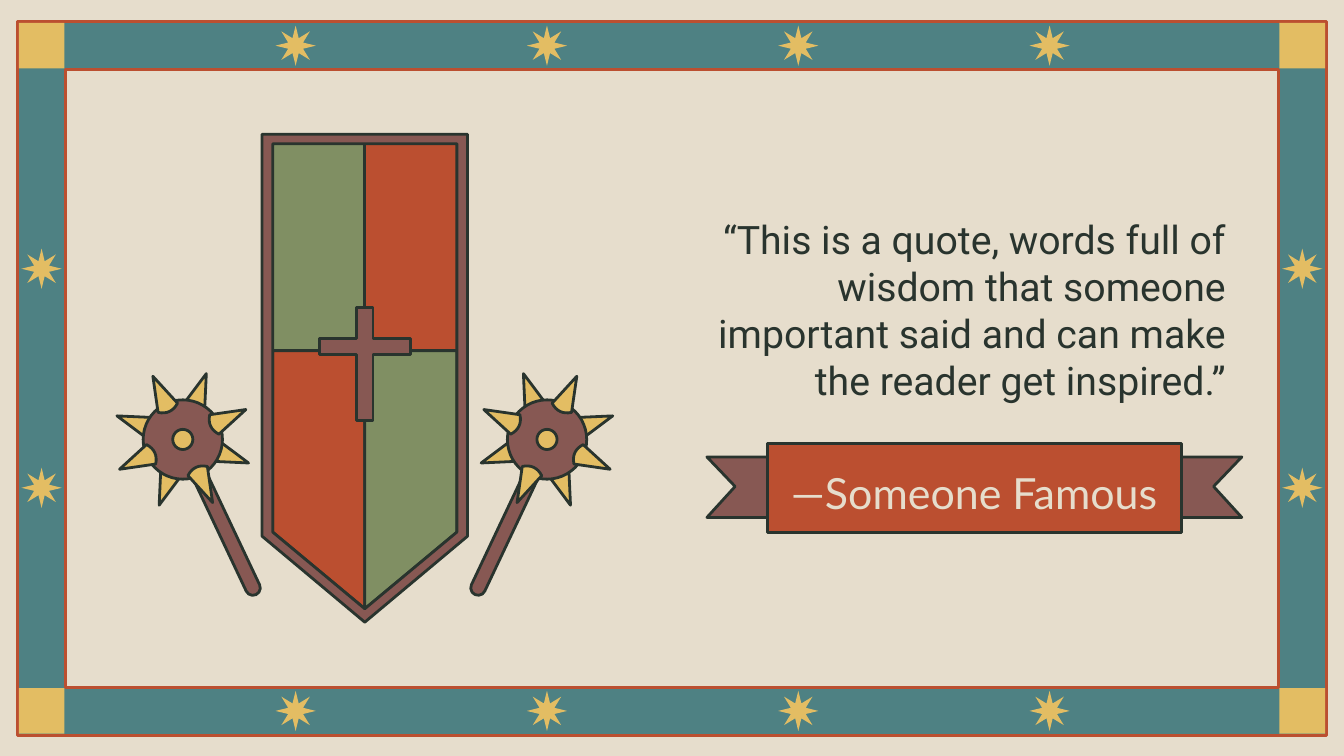
from math import cos, sin, radians
from pptx import Presentation
from pptx.dml.color import RGBColor
from pptx.enum.shapes import MSO_SHAPE as Kind
from pptx.enum.text import PP_ALIGN as Align, MSO_ANCHOR as Anchor
from pptx.util import Inches, Pt

COLORS = {
    "paper": "E6DDCC", "teal": "4E8183", "gold": "E3BD63", "red": "BB4F30",
    "brown": "875853", "green": "808F63", "ink": "29342E",
}


def color(name):
    return RGBColor.from_string(COLORS[name])


def paint(shape, fill, line=None):
    shape.shadow.inherit = False
    shape.fill.solid()
    shape.fill.fore_color.rgb = color(fill)
    if line:
        shape.line.color.rgb = color(line)
        shape.line.width = Pt(1.5)
    else:
        shape.line.fill.background()


def preset(shapes, kind, x, y, w, h, fill, line=None):
    shape = shapes.add_shape(kind, Inches(x), Inches(y), Inches(w), Inches(h))
    paint(shape, fill, line)
    return shape


def outline(shapes, fill, *rings):
    rings = [[(Inches(x), Inches(y)) for x, y in ring] for ring in rings]
    pen = shapes.build_freeform(*rings[0][0])
    pen.add_line_segments(rings[0][1:])
    for ring in rings[1:]:
        pen.move_to(*ring[0])
        pen.add_line_segments(ring[1:])
    paint(pen.convert_to_shape(), fill, "ink")


def border(slide, x, y, w, h):
    shapes = slide.shapes.add_group_shape().shapes
    frame = preset(shapes, Kind.FRAME, x, y, w, h, "teal", "red")
    frame.adjustments[0] = 0.067
    for left in (x + 0.01, x + w - 0.35):
        for top in (y + 0.01, y + h - 0.35):
            preset(shapes, Kind.RECTANGLE, left, top, 0.34, 0.34, "gold")
    spots = [(x + 1.92 + 1.87 * i, top)
             for top in (y + 0.03, y + h - 0.33) for i in range(4)]
    spots += [(left, y + 1.69 + 1.63 * i)
              for left in (x + 0.03, x + w - 0.33) for i in range(2)]
    for left, top in spots:
        star = preset(shapes, Kind.STAR_8_POINT, left, top, 0.3, 0.3, "gold")
        star.adjustments[0] = 0.199


def ribbon(slide, x, y, w, h):
    shapes = slide.shapes.add_group_shape().shapes
    for edge, side in ((x, 1), (x + w, -1)):
        tail = [(0, 0.1), (0.21, 0.32), (0, 0.55), (2.78, 0.55), (2.78, 0.1)]
        outline(shapes, "brown", [(edge + side * a, y + b) for a, b in tail])
    left, right = x + 0.45, x + w - 0.45
    outline(shapes, "red",
            [(left, y), (left, y + h), (right, y + h), (right, y)])


def write(box, x, y, w, h, text, font, size, tint, align):
    box.left, box.top, box.width, box.height = map(Inches, (x, y, w, h))
    frame = box.text_frame
    frame.word_wrap = True
    frame.vertical_anchor = Anchor.TOP
    frame.margin_left = frame.margin_right = Inches(0.1)
    frame.margin_top = frame.margin_bottom = Inches(0.1)
    frame.text = text
    line = frame.paragraphs[0]
    line.alignment = align
    line.font.name = font
    line.font.size = Pt(size)
    line.font.color.rgb = color(tint)


def quote(slide, x, y, w, h):
    box = slide.shapes.add_textbox(0, 0, 0, 0)
    write(box, x, y, w, h,
          "“This is a quote, words full of wisdom that someone important "
          "said and can make the reader get inspired.”",
          "Roboto", 21, "ink", Align.RIGHT)


def author(slide, x, y, w, h):
    title = slide.shapes.title
    write(title, x, y, w, h, "—Someone Famous", "Lato", 23, "paper",
          Align.CENTER)
    tree = title.element.getparent()
    tree.append(title.element)


def shield(slide, x, y, w, h):
    shapes = slide.shapes.add_group_shape().shapes
    mid, half = x + w / 2, y + 1.61
    left, right, top = x + 0.08, x + w - 0.08, y + 0.07
    low, tip = y + h - 0.67, y + h - 0.1
    for side, upper, lower in ((left, "green", "red"), (right, "red", "green")):
        outline(shapes, lower,
                [(mid, half), (mid, tip), (side, low), (side, half)])
        outline(shapes, upper,
                [(side, top), (side, half), (mid, half), (mid, top)])
    arm = [(0.06, -0.32), (0.06, -0.09), (0.34, -0.09), (0.34, 0.03),
           (0.06, 0.03), (0.06, 0.52)]
    arm += [(-a, b) for a, b in reversed(arm)]
    outline(shapes, "brown", [(mid + a, half + b) for a, b in arm])
    outline(shapes, "brown",
            [(right, top), (right, low), (mid, tip), (left, low), (left, top)],
            [(x, y), (x, y + h - 0.64), (mid, y + h), (x + w, y + h - 0.64),
             (x + w, y)])


def mace(slide, x, y, side):
    shapes = slide.shapes.add_group_shape().shapes

    def spikes(start):
        base = [(0.23 + 0.03 * (i / 4) ** 2, 0.08 * i / 4)
                for i in range(-4, 5)]
        for turn in range(4):
            angle = radians(start + 90 * turn)
            c, s = cos(angle), sin(angle)
            outline(shapes, "gold",
                    [(x + side * (a * c - b * s), y + a * s + b * c)
                     for a, b in [(0.52, 0)] + base])

    def disc(size, fill):
        preset(shapes, Kind.OVAL, x - size / 2, y - size / 2, size, size,
               fill, "ink")

    shaft = preset(shapes, Kind.ROUNDED_RECTANGLE, x + side * 0.25 - 0.05,
                   y - 0.14, 0.11, 1.36, "brown", "ink")
    shaft.adjustments[0] = 0.5
    shaft.rotation = -25.3 * side
    spikes(19.7)
    disc(0.59, "brown")
    disc(0.15, "gold")
    spikes(64.7)


def main():
    deck = Presentation()
    deck.slide_width = Inches(10)
    deck.slide_height = deck.slide_width * 9 // 16
    slide = deck.slides.add_slide(deck.slide_layouts[5])
    back = slide.background.fill
    back.solid()
    back.fore_color.rgb = color("paper")
    border(slide, 0.13, 0.16, 9.74, 5.31)
    ribbon(slide, 5.26, 3.3, 3.98, 0.66)
    quote(slide, 4.79, 1.5, 4.43, 1.51)
    author(slide, 5.78, 3.37, 2.94, 0.51)
    shield(slide, 1.95, 1, 1.53, 3.63)
    mace(slide, 1.36, 3.27, 1)
    mace(slide, 4.07, 3.27, -1)
    deck.save("out.pptx")


if __name__ == "__main__":
    main()
